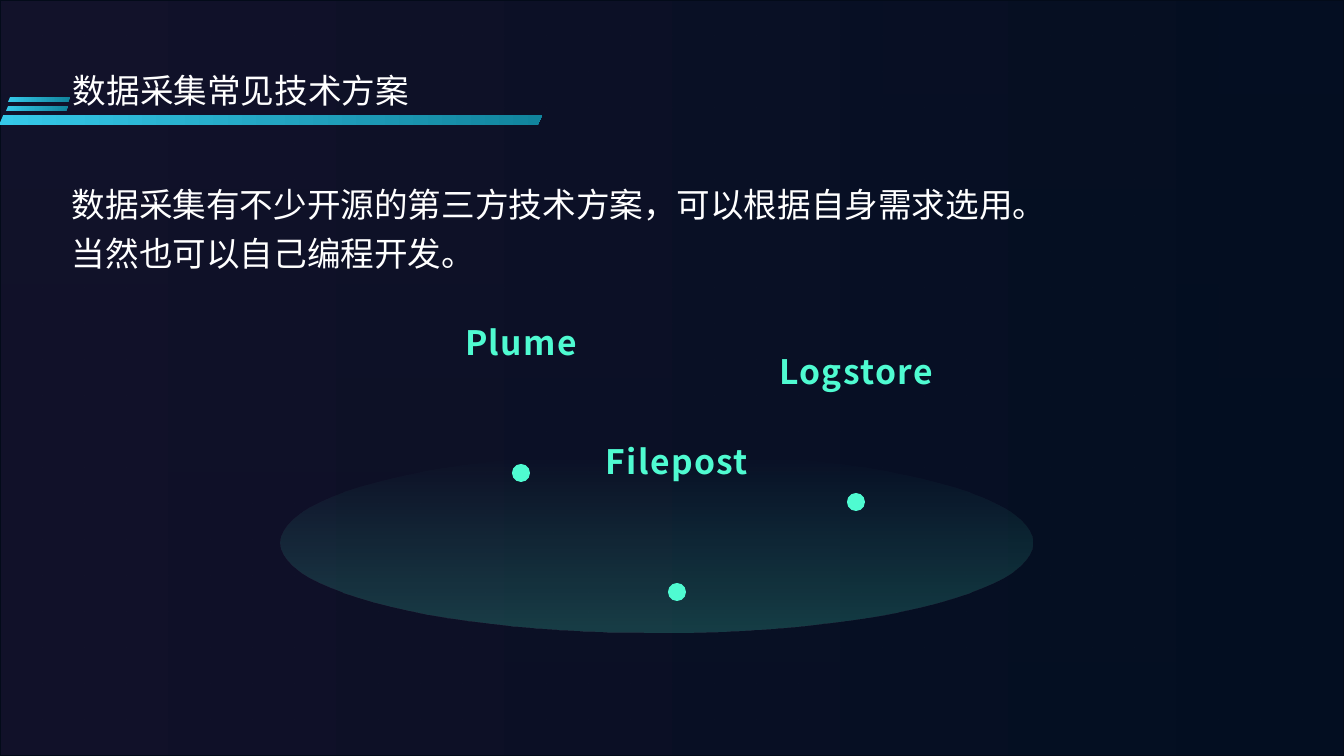
from lxml import etree
from pptx import Presentation
from pptx import util as u
from pptx.dml.color import RGBColor
from pptx.enum import shapes, text
from pptx.oxml.ns import qn

TITLE = "数据采集常见技术方案"
BODY = [
    "数据采集有不少开源的第三方技术方案，可以根据自身需求选用。",
    "当然也可以自己编程开发。",
]
TOOLS = [("Plume", 521, 473), ("Logstore", 856, 502), ("Filepost", 677, 592)]
BARS = [(-1, 115, 543, 10), (6, 106, 62, 5), (8, 97, 62, 5)]

NOTO, CABIN = "Noto Sans CJK JP", "Cabin"
WHITE, MINT = "FFFFFF", "4FFBD1"
NIGHT, BLUE = ("13132B", "040F22"), ("35C9E9", "11849D")
WIDTH, HEIGHT = 1344, 756
DOT, LABEL_W, LABEL_H, LABEL_RISE = 18, 250, 50, 156
PX = 12192000 / WIDTH


def px(*lengths):
    return [u.Emu(round(n * PX)) for n in lengths]


def rgb(value):
    return RGBColor.from_string(value)


def gradient(fill, colors, angle=0):
    fill.gradient()
    fill.gradient_angle = angle
    for stop, color in zip(fill.gradient_stops, colors):
        stop.color.rgb = rgb(color)


def set_opacity(sp, percents):
    colors = sp._element.spPr.iter(qn("a:srgbClr"))
    for color, percent in zip(colors, percents):
        etree.SubElement(color, qn("a:alpha"), val=str(percent * 1000))


def add_shape(slide, kind, box):
    sp = slide.shapes.add_shape(kind, *px(*box))
    sp.shadow.inherit = False
    sp.line.fill.background()
    return sp


def place(sp, box, inset):
    sp.left, sp.top, sp.width, sp.height = px(*box)
    tf = sp.text_frame
    tf.word_wrap = True
    tf.auto_size = text.MSO_AUTO_SIZE.NONE
    tf.margin_left, tf.margin_right = px(inset, inset)
    tf.margin_top, tf.margin_bottom = px(5, 5)
    return tf


def style(p, font, color, align, spacing=1.0, bold=False):
    p.alignment = align
    p.line_spacing = spacing
    p.space_before = u.Pt(0)
    p.font.size = u.Pt(24)
    p.font.name = font
    p.font.bold = bold
    p.font.color.rgb = rgb(color)
    for r in p.runs:
        etree.SubElement(r._r.get_or_add_rPr(), qn("a:ea"), typeface=font)


def add_backdrop(slide):
    gradient(slide.background.fill, NIGHT, 270)
    veil = add_shape(slide, shapes.MSO_SHAPE.RECTANGLE, (0, 0, WIDTH, HEIGHT))
    gradient(veil.fill, NIGHT)
    set_opacity(veil, (96, 90))
    veil.line.color.rgb = rgb("030B19")
    veil.line.width = u.Pt(1)
    for box in BARS:
        bar = add_shape(slide, shapes.MSO_SHAPE.PARALLELOGRAM, box)
        bar.adjustments[0] = 0.43
        gradient(bar.fill, BLUE)


def add_text(slide):
    title, body = slide.shapes.title, slide.placeholders[1]
    for sp in (title, body):
        slide.shapes._spTree.append(sp._element)

    tf = place(title, (73, 71, 469, 43), 0)
    tf.vertical_anchor = text.MSO_ANCHOR.MIDDLE
    tf.text = TITLE
    style(tf.paragraphs[0], NOTO, WHITE, text.PP_ALIGN.LEFT, 0.9)

    tf = place(body, (72, 171, 1199, 108), 0)
    tf.text = "\n".join(BODY)
    for p in tf.paragraphs:
        style(p, CABIN, WHITE, text.PP_ALIGN.LEFT, 1.2)
        pPr = p._p.get_or_add_pPr()
        pPr.set("marL", "0")
        pPr.set("indent", "0")
        bullet = etree.Element(qn("a:buNone"))
        pPr.find(qn("a:spcBef")).addnext(bullet)


def add_tools(slide):
    disc = add_shape(slide, shapes.MSO_SHAPE.OVAL, (280, 453, 752, 180))
    gradient(disc.fill, (MINT, MINT), 270)
    set_opacity(disc, (0, 20))
    for name, x, y in TOOLS:
        box = (x - LABEL_W / 2, y - LABEL_RISE, LABEL_W, LABEL_H)
        label = slide.shapes.add_textbox(*px(*box))
        tf = place(label, box, 10)
        tf.text = name
        p = tf.paragraphs[0]
        style(p, NOTO, MINT, text.PP_ALIGN.CENTER, bold=True)
        p.runs[0]._r.get_or_add_rPr().set("spc", "100")
        dot_box = (x - DOT / 2, y - DOT / 2, DOT, DOT)
        dot = add_shape(slide, shapes.MSO_SHAPE.OVAL, dot_box)
        dot.fill.solid()
        dot.fill.fore_color.rgb = rgb(MINT)


def main():
    prs = Presentation()
    prs.slide_width, prs.slide_height = px(WIDTH, HEIGHT)
    slide = prs.slides.add_slide(prs.slide_layouts[1])
    add_backdrop(slide)
    add_text(slide)
    add_tools(slide)
    prs.save("out.pptx")


if __name__ == "__main__":
    main()
